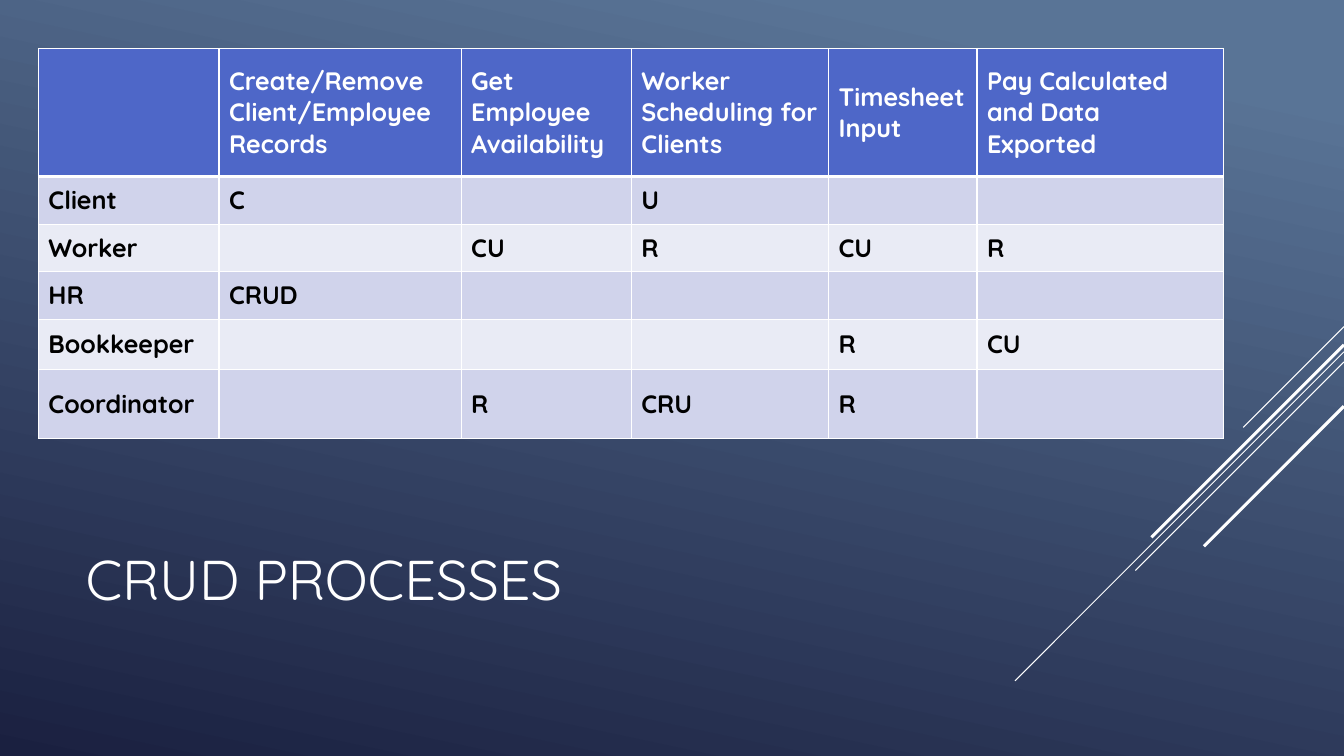
from collections import namedtuple
from dataclasses import dataclass

from lxml import etree
from pptx import Presentation
from pptx.dml.color import RGBColor
from pptx.enum.shapes import MSO_CONNECTOR as Connector
from pptx.enum.text import MSO_ANCHOR as Anchor
from pptx.oxml.ns import qn
from pptx.util import Pt

Box = namedtuple("Box", "left top width height")


@dataclass(frozen=True)
class Theme:
    font: str = "Quicksand"
    title_size: float = 40
    table_size: float = 18
    light: str = "FFFFFF"
    dark: str = "000000"
    header: str = "4E67C8"
    bands: tuple = ("D0D3EB", "E9EBF5")
    gradient: tuple = (("597496", 0.1), ("1A2040", 1))
    gradient_angle: float = 258
    grid_width: float = 1
    header_rule: float = 3


THEME = Theme()
SLIDE = Box(0, 0, 960, 540)
TABLE = Box(27.4, 34.6, 846.5, 278.5)
TITLE = Box(54, 353.5, 672, 119)
RAYS = Box(725, 233.3, 235, 253)

COLUMN_WIDTHS = (129, 173, 121.5, 141, 106, 176)
ROW_HEIGHTS = (91.5, 34, 34, 34, 36, 49)
CRUD_ROWS = (
    ("", "Create/Remove Client/Employee Records", "Get Employee Availability",
     "Worker Scheduling for Clients", "Timesheet Input",
     "Pay Calculated and Data Exported"),
    ("Client", "C", "", "U", "", ""),
    ("Worker", "", "CU", "R", "CU", "R"),
    ("HR", "CRUD", "", "", "", ""),
    ("Bookkeeper", "", "", "", "R", "CU"),
    ("Coordinator", "", "R", "CRU", "R", ""),
)
RAY_DROP_LENGTH_WEIGHT = (
    (0, 72, 0.75),
    (18, 235, 0.75),
    (25.2, 149, 0.75),
    (13, 137.5, 2.25),
    (56.9, 100, 2.25),
)


def color(value):
    return RGBColor.from_string(value)


def format_text(text_frame, size, text_color, bold=False):
    for paragraph in text_frame.paragraphs:
        for run in paragraph.runs:
            run.font.name = THEME.font
            run.font.size = Pt(size)
            run.font.bold = bold
            run.font.color.rgb = color(text_color)


def paint_background(slide):
    fill = slide.background.fill
    fill.gradient()
    fill.gradient_angle = THEME.gradient_angle
    for stop, (value, position) in zip(fill.gradient_stops, THEME.gradient):
        stop.color.rgb = color(value)
        stop.position = position


def add_rays(slide, box):
    right = box.left + box.width
    for drop, length, weight in RAY_DROP_LENGTH_WEIGHT:
        top = box.top + drop
        ray = slide.shapes.add_connector(
            Connector.STRAIGHT, Pt(right), Pt(top), Pt(right - length), Pt(top + length))
        ray.line.color.rgb = color(THEME.light)
        ray.line.width = Pt(weight)
        etree.SubElement(ray._element.spPr, qn("a:effectLst"))


def add_title(slide, box):
    title = slide.shapes.add_textbox(*map(Pt, box))
    text_frame = title.text_frame
    text_frame.word_wrap = True
    text_frame.vertical_anchor = Anchor.MIDDLE
    text_frame.text = "CRUD PROCESSES"
    format_text(text_frame, THEME.title_size, THEME.light)


def set_borders(cell, widths):
    properties = cell._tc.get_or_add_tcPr()
    for side, width in zip("LRTB", widths):
        line = etree.SubElement(properties, qn(f"a:ln{side}"), w=str(Pt(width)))
        fill = etree.SubElement(line, qn("a:solidFill"))
        etree.SubElement(fill, qn("a:srgbClr"), val=THEME.light)


def format_cell(cell, row_index):
    is_header = row_index == 0
    grid, rule = THEME.grid_width, THEME.header_rule
    set_borders(cell, (grid, grid, rule if row_index == 1 else grid,
                       rule if is_header else grid))
    cell.fill.solid()
    cell.fill.fore_color.rgb = color(
        THEME.header if is_header else THEME.bands[(row_index - 1) % 2])
    cell.vertical_anchor = Anchor.MIDDLE
    format_text(cell.text_frame, THEME.table_size,
                THEME.light if is_header else THEME.dark, bold=True)


def add_crud_table(slide, box):
    table = slide.shapes.add_table(
        len(CRUD_ROWS), len(COLUMN_WIDTHS), *map(Pt, box)).table
    for column, width in zip(table.columns, COLUMN_WIDTHS):
        column.width = Pt(width)
    for row_index, (row, height, texts) in enumerate(
            zip(table.rows, ROW_HEIGHTS, CRUD_ROWS)):
        row.height = Pt(height)
        for cell, text in zip(row.cells, texts):
            cell.text_frame.text = text
            format_cell(cell, row_index)


def main():
    presentation = Presentation()
    presentation.slide_width = Pt(SLIDE.width)
    presentation.slide_height = Pt(SLIDE.height)
    slide = presentation.slides.add_slide(presentation.slide_layouts[6])
    paint_background(slide)
    add_rays(slide, RAYS)
    add_title(slide, TITLE)
    add_crud_table(slide, TABLE)
    presentation.save("out.pptx")


if __name__ == "__main__":
    main()
